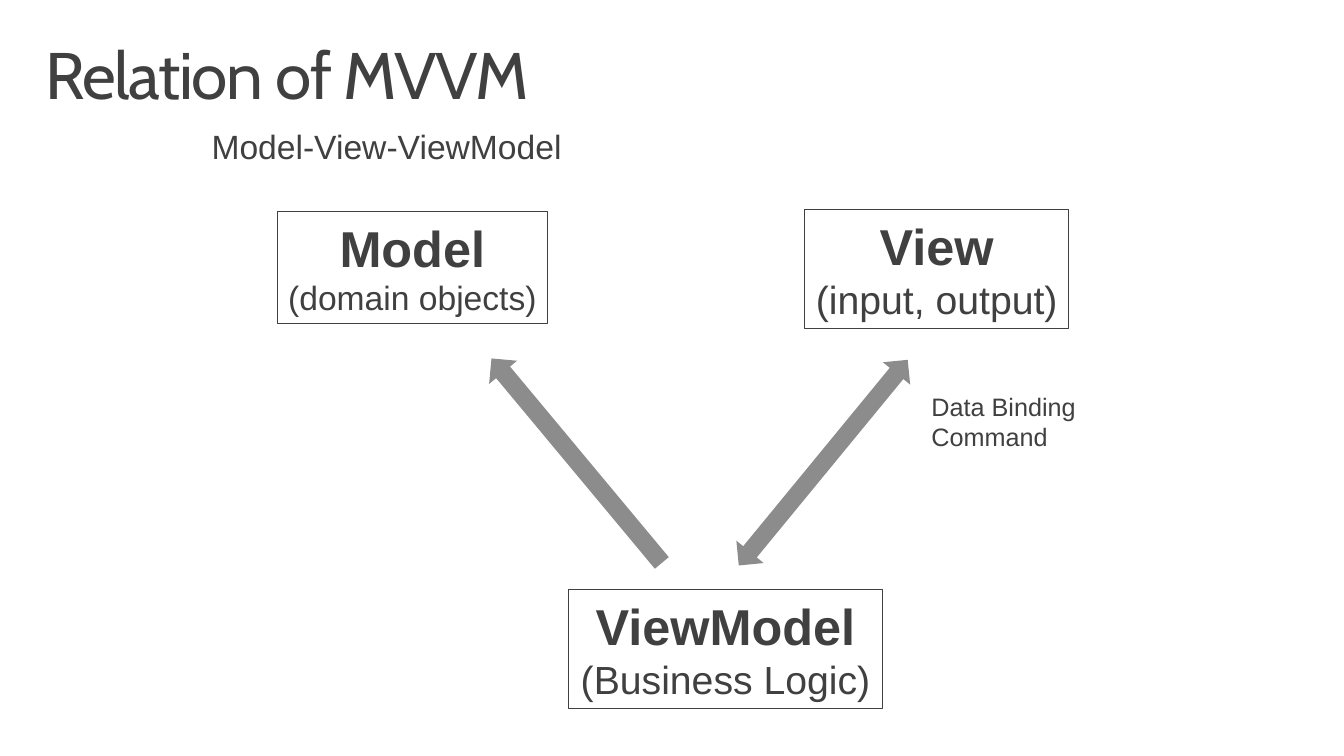
"""Builds a slide on how Model, View and ViewModel relate in MVVM."""
from dataclasses import dataclass

from pptx import Presentation
from pptx.dml.color import RGBColor
from pptx.enum import shapes, text
from pptx.util import Inches, Pt


@dataclass(frozen=True)
class Theme:
    ink: RGBColor = RGBColor(0x40, 0x40, 0x40)
    paper: RGBColor = RGBColor(0xFF, 0xFF, 0xFF)
    arrow: RGBColor = RGBColor(0x8C, 0x8C, 0x8C)
    heading_font: str = "Cabin"
    body_font: str = "Arial"
    title: int = 47
    role: int = 36
    detail: int = 28
    subtitle: int = 24
    note: int = 18


theme = Theme()
presentation = Presentation()
presentation.slide_width, presentation.slide_height = Inches(13.33), Inches(7.5)
slide = presentation.slides.add_slide(presentation.slide_layouts[6])


def write(frame, lines, wrap, font=theme.body_font):
    """Fill a text frame with (wording, size, bold) lines."""
    frame.word_wrap = wrap
    frame.vertical_anchor = text.MSO_ANCHOR.TOP
    for index, (wording, size, bold) in enumerate(lines):
        paragraph = frame.add_paragraph() if index else frame.paragraphs[0]
        paragraph.text = wording
        paragraph.font.name = font
        paragraph.font.size = Pt(size)
        paragraph.font.bold = bold
        paragraph.font.color.rgb = theme.ink


def add_plain(kind, area, fill):
    """Add a preset shape with a flat fill and neither shadow nor outline."""
    shape = slide.shapes.add_shape(kind, *map(Inches, area))
    shape.shadow.inherit = False
    shape.fill.solid()
    shape.fill.fore_color.rgb = fill
    shape.line.fill.background()
    return shape


heading = slide.shapes.add_textbox(*map(Inches, (0.29, 0.32, 12.75, 0.98))).text_frame
write(heading, [("Relation of MVVM", theme.title, False)], True, theme.heading_font)
heading.margin_left = heading.margin_right = Inches(0.16)
heading.margin_top = heading.margin_bottom = Inches(0.1)
heading.paragraphs[0].line_spacing = 0.9
heading.paragraphs[0].runs[0].font._element.set("spc", "-100")

roles = [
    ("Model", "(domain objects)", theme.subtitle, (2.75, 2.1, 2.68, 1.11)),
    ("View", "(input, output)", theme.detail, (7.98, 2.08, 2.62, 1.18)),
    ("ViewModel", "(Business Logic)", theme.detail, (5.64, 5.85, 3.11, 1.18)),
]
for role, detail, detail_size, area in roles:
    box = add_plain(shapes.MSO_SHAPE.RECTANGLE, area, theme.paper)
    box.line.color.rgb = theme.ink
    box.line.width = Pt(0.75)
    write(box.text_frame, [(role, theme.role, True), (detail, detail_size, False)], False)
    for paragraph in box.text_frame.paragraphs:
        paragraph.alignment = text.PP_ALIGN.CENTER

full_name = slide.shapes.add_textbox(*map(Inches, (2, 1.2, 9.33, 0.5)))
write(full_name.text_frame, [("Model-View-ViewModel", theme.subtitle, False)], True)

view_link = slide.shapes.add_textbox(*map(Inches, (9.14, 3.83, 1.65, 0.71)))
write(view_link.text_frame, [(wording, theme.note, False) for wording in ("Data Binding", "Command")], False)

arrows = [
    (shapes.MSO_SHAPE.UP_DOWN_ARROW, (7.99, 3.27, 0.35, 2.64), 39.4),
    (shapes.MSO_SHAPE.UP_ARROW, (5.54, 3.25, 0.36, 2.64), 320.2),
]
for kind, area, angle in arrows:
    add_plain(kind, area, theme.arrow).rotation = angle

presentation.save("out.pptx")
